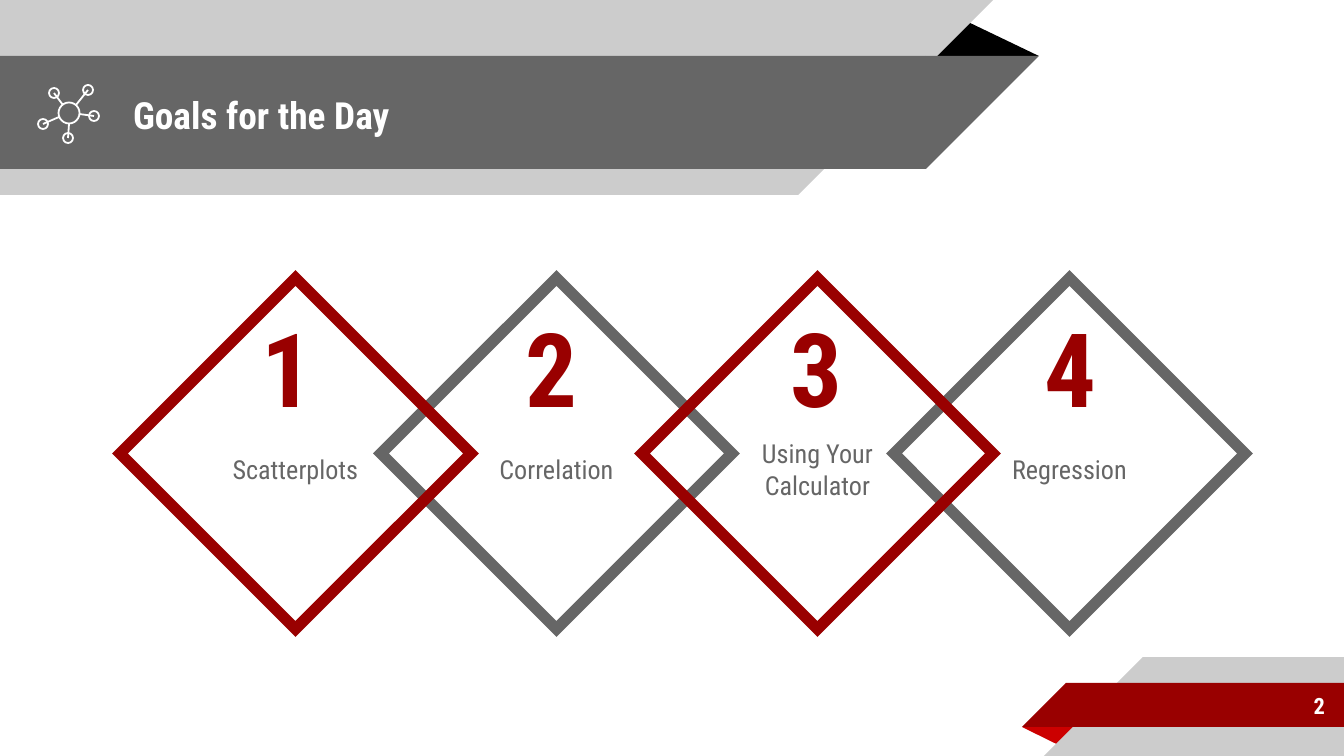
"""Builds the "Goals for the Day" slide with four linked diamonds."""
import pptx
import pptx.util
import pptx.dml.color
import pptx.enum.shapes
import pptx.enum.text
import pptx.oxml
import pptx.oxml.ns

PX = 9144000 / 1344
SHAPE = pptx.enum.shapes.MSO_SHAPE
ALIGN = pptx.enum.text.PP_ALIGN
ANCHOR = pptx.enum.text.MSO_ANCHOR
RED, GREY, LIGHT, WHITE = "990000", "666666", "CCCCCC", "FFFFFF"


def emu(*px):
    return [pptx.util.Emu(round(v * PX)) for v in px]


def rgb(value):
    return pptx.dml.color.RGBColor.from_string(value)


def element(tag):
    return pptx.oxml.parse_xml(f"<a:{tag} {pptx.oxml.ns.nsdecls('a')}/>")


class Deck:
    font = "Roboto Condensed"
    inset = 13

    def __init__(self, width, height):
        self.prs = pptx.Presentation()
        self.prs.slide_width, self.prs.slide_height = emu(width, height)
        self.s = self.prs.slides.add_slide(self.prs.slide_layouts[6])

    def shape(self, kind, box, fill=None, line=None, weight=1, rotation=0):
        sp = self.s.shapes.add_shape(kind, *emu(*box))
        sp.shadow.inherit = False
        sp.rotation = rotation
        if fill:
            sp.fill.solid()
            sp.fill.fore_color.rgb = rgb(fill)
        else:
            sp.fill.background()
        if line:
            sp.line.color.rgb = rgb(line)
            sp.line.width = pptx.util.Pt(weight)
        else:
            sp.line.fill.background()
        return sp

    def fold(self, box, fill, rotation=0):
        sp = self.shape(SHAPE.ISOSCELES_TRIANGLE, box, fill, rotation=rotation)
        sp.adjustments[0] = 0.324

    def band(self, x, y, w, h, fill, slant_left=False):
        self.shape(SHAPE.RECTANGLE, (x, y, w, h), fill)
        slant_x, rotation = (x - h, 270) if slant_left else (x + w, 90)
        self.shape(SHAPE.RIGHT_TRIANGLE, (slant_x, y, h, h), fill, rotation=rotation)

    def set_text(self, sp, text, size, color, bold=False, align=ALIGN.LEFT,
                 anchor=ANCHOR.MIDDLE, drop=0):
        tf = sp.text_frame
        left, top = emu(self.inset, self.inset + drop)
        frame = {"word_wrap": True, "vertical_anchor": anchor, "margin_left": left,
                 "margin_right": left, "margin_top": top, "margin_bottom": left}
        for name, value in frame.items():
            setattr(tf, name, value)
        p = tf.paragraphs[0]
        p.alignment = align
        r = p.add_run()
        r.text = text
        style = {"name": self.font, "size": pptx.util.Pt(size), "bold": bold}
        for name, value in style.items():
            setattr(r.font, name, value)
        r.font.color.rgb = rgb(color)

    def text(self, box, *args, **kwargs):
        self.set_text(self.s.shapes.add_textbox(*emu(*box)), *args, **kwargs)

    def diamond(self, x, label, fill, line):
        sp = self.shape(SHAPE.DIAMOND, (x, 278, 351, 351), fill, line, 6)
        miter = element("miter")
        miter.set("lim", "800000")
        sp.line._get_or_add_ln().append(miter)
        self.set_text(sp, label, 14, GREY, align=ALIGN.CENTER, drop=31)

    def circle(self, x, y, size):
        box = (x - size / 2, y - size / 2, size, size)
        self.shape(SHAPE.OVAL, box, line=WHITE, weight=0.96)

    def line(self, start, end):
        sp = self.s.shapes.add_connector(
            pptx.enum.shapes.MSO_CONNECTOR.STRAIGHT, *emu(*start, *end))
        sp.line.color.rgb = rgb(WHITE)
        sp.line.width = pptx.util.Pt(0.96)
        sp._element.spPr.append(element("effectLst"))


def main():
    deck = Deck(1344, 756)

    deck.fold((925, 19, 114, 37), "000000")
    deck.band(0, 0, 798, 195, LIGHT)
    deck.band(0, 56, 926, 113, GREY)
    deck.fold((1022, 727, 57, 19), "CC0000", rotation=180)
    deck.band(1143, 657, 201, 99, LIGHT, slant_left=True)
    deck.band(1066, 683, 278, 44, RED, slant_left=True)
    deck.text((120, 58, 773, 113), "Goals for the Day", 20, WHITE, bold=True)
    deck.text((1119, 682, 219, 47), "2", 12, WHITE, bold=True, align=ALIGN.RIGHT)

    deck.circle(69, 113, 21)
    spokes = [((88, 90), (76, 105)), ((54, 93), (63, 105)), ((43, 124), (59, 117)),
              ((68, 138), (69, 124)), ((94, 116), (79, 114))]
    for node, hub_edge in spokes:
        deck.circle(*node, 10)
        deck.line(node, hub_edge)

    goals = [("1", 120, 249, "Scatterplots"), ("2", 381, 513, "Correlation"),
             ("3", 642, 778, "Using Your Calculator"), ("4", 894, 1032, "Regression")]
    for _, x, _, label in goals[1::2]:
        deck.diamond(x, label, WHITE, GREY)
    for _, x, _, label in goals[::2]:
        deck.diamond(x, label, None, RED)
    for number, _, x, _ in goals:
        deck.text((x, 293, 73, 148), number, 55, RED, bold=True, anchor=ANCHOR.BOTTOM)

    deck.prs.save("out.pptx")


if __name__ == "__main__":
    main()
